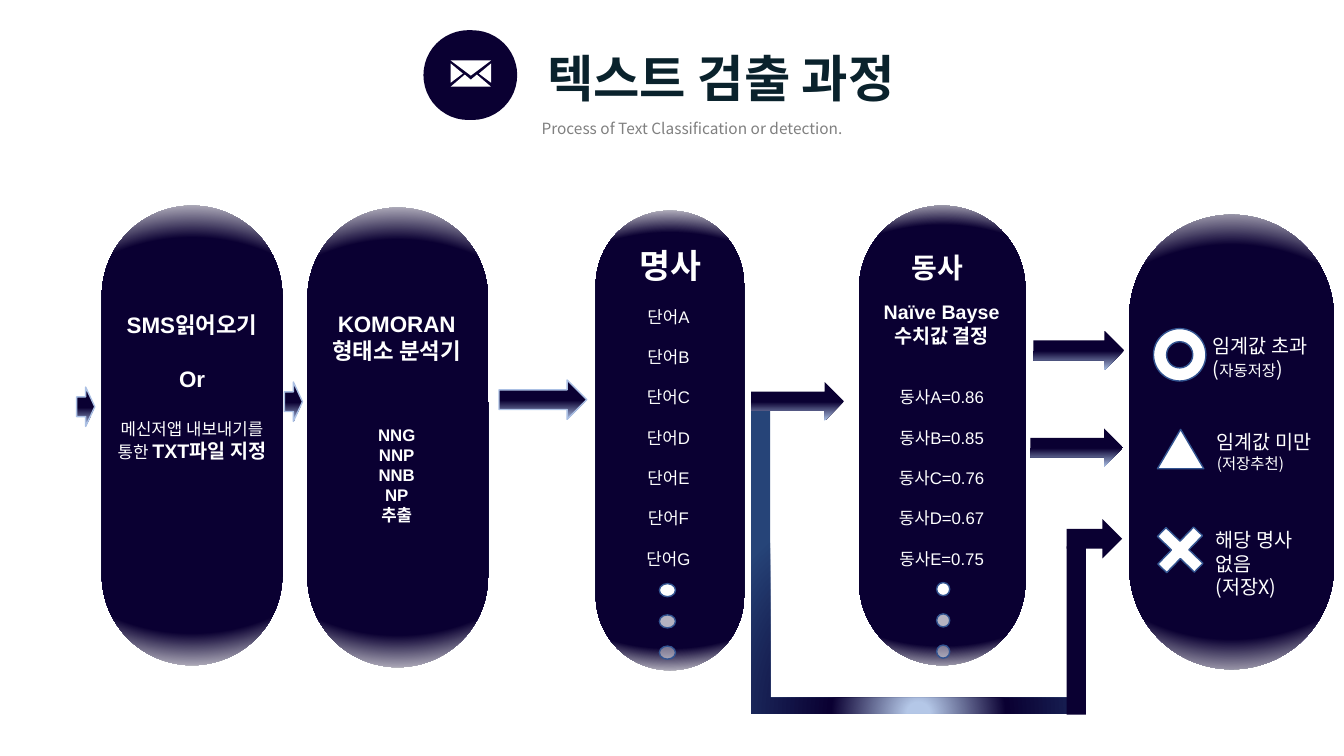
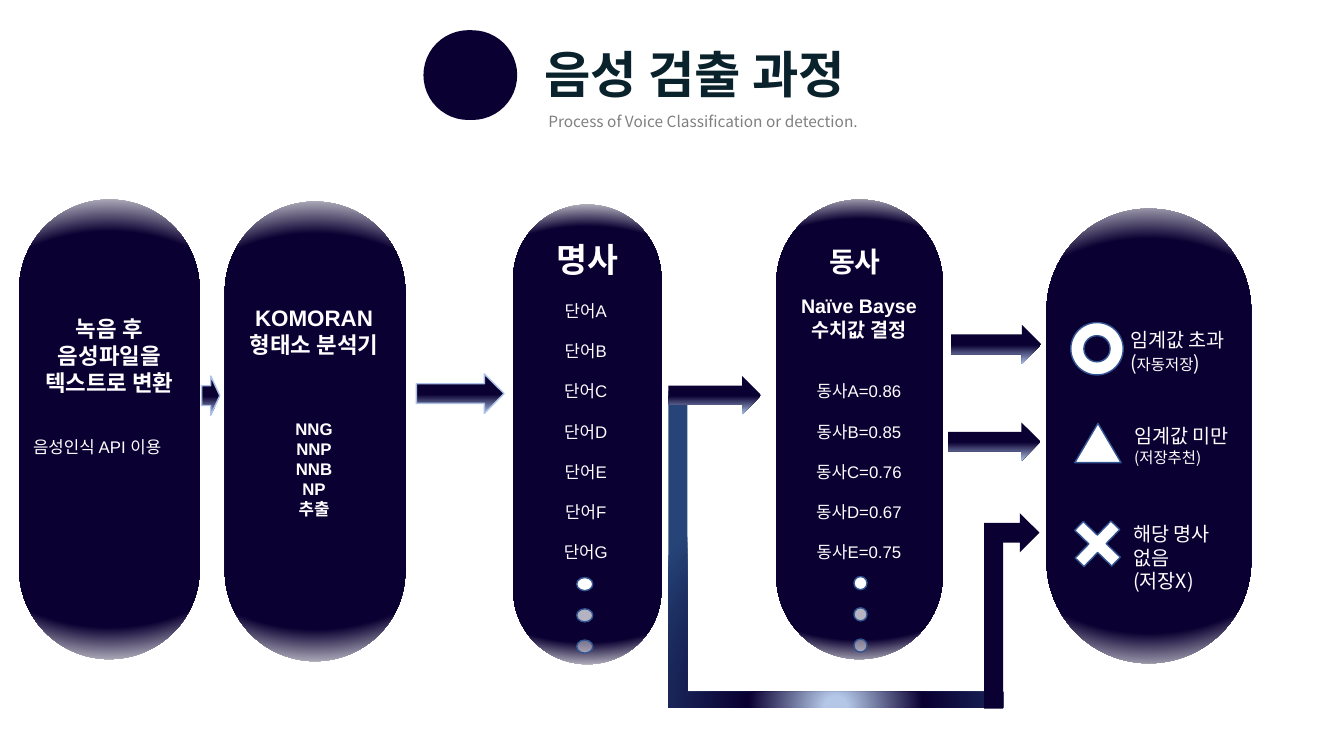
from dataclasses import dataclass

import lxml.etree
import pptx
import pptx.dml.color
import pptx.enum.shapes
import pptx.enum.text
import pptx.oxml.ns
import pptx.util

Inches = pptx.util.Inches
Pt = pptx.util.Pt
SHAPE = pptx.enum.shapes.MSO_SHAPE
ALIGN = pptx.enum.text.PP_ALIGN
ANCHOR = pptx.enum.text.MSO_ANCHOR
qn = pptx.oxml.ns.qn


@dataclass(frozen=True)
class Theme:
    navy: str = "0A0032"
    title_ink: str = "0A222C"
    gray: str = "808080"
    white: str = "FFFFFF"
    outline: str = "325491"
    pale_blue: str = "ABC0E4"
    glow: str = "B4C7E7"
    deep_blue: str = "264478"
    pill_edge: str = "F2F2F2"
    latin: str = "Arial"
    korean: str = "Noto Sans CJK KR"
    title: int = 36
    noun: int = 24
    verb: int = 20
    heading: int = 16
    body: int = 14
    item: int = 12
    small: int = 11
    leading: float = 1.2


THEME = Theme()


@dataclass
class Span:
    text: str
    size: int = THEME.item
    bold: bool = False
    font: str = THEME.latin
    color: str = THEME.white


@dataclass
class Line:
    spans: list
    before: float = 0
    align: object = ALIGN.CENTER
    indent: float = 0
    spacing: object = None


@dataclass
class Canvas:
    """A page with the offset of its diagram."""
    page: object
    dx: float = 0
    dy: float = 0

    def place(self, left, top, width, height):
        return (Inches(left + self.dx), Inches(top + self.dy),
                Inches(width), Inches(height))


def rgb(code):
    return pptx.dml.color.RGBColor.from_string(code)


# Fills
def set_gradient(shape, stops, center=None):
    """Radial when a center rectangle is given, else top to bottom."""
    shape.fill.background()
    properties = shape._element.spPr
    gradient = lxml.etree.Element(qn("a:gradFill"), rotWithShape="1")
    stop_list = lxml.etree.SubElement(gradient, qn("a:gsLst"))
    for position, color in stops:
        stop = lxml.etree.SubElement(stop_list, qn("a:gs"), pos=str(position * 1000))
        lxml.etree.SubElement(stop, qn("a:srgbClr"), val=color)
    if center:
        radial = lxml.etree.SubElement(gradient, qn("a:path"))
        radial.set("path", "circle")
        sides = {side: str(value * 1000) for side, value in zip("ltrb", center)}
        lxml.etree.SubElement(radial, qn("a:fillToRect"), **sides)
    else:
        lxml.etree.SubElement(gradient, qn("a:lin"), ang="5400000", scaled="0")
    properties.replace(properties.find(qn("a:noFill")), gradient)


def set_solid(shape, color, opacity=100):
    shape.fill.solid()
    shape.fill.fore_color.rgb = rgb(color)
    if opacity < 100:
        code = shape._element.spPr.find(qn("a:solidFill"))[0]
        lxml.etree.SubElement(code, qn("a:alpha"), val=str(opacity * 1000))


def set_line(shape, color=None):
    if color:
        shape.line.color.rgb = rgb(color)
        shape.line.width = Pt(1)
    else:
        shape.line.fill.background()


# Basic elements
def add_shape(canvas, kind, area, line=None, adjust=()):
    shape = canvas.page.shapes.add_shape(kind, *canvas.place(*area))
    shape.shadow.inherit = False
    set_line(shape, line)
    for index, value in enumerate(adjust):
        shape.adjustments[index] = value
    return shape


def add_solid(canvas, kind, area, color, line=None, adjust=(), opacity=100):
    shape = add_shape(canvas, kind, area, line, adjust)
    set_solid(shape, color, opacity)
    return shape


def add_text(canvas, area, lines, anchor=ANCHOR.TOP):
    box = canvas.page.shapes.add_textbox(*canvas.place(*area))
    frame = box.text_frame
    frame.word_wrap = True
    frame.vertical_anchor = anchor
    for index, line in enumerate(lines):
        para = frame.paragraphs[0] if index == 0 else frame.add_paragraph()
        para.alignment = line.align
        largest = max(span.size for span in line.spans)
        para.line_spacing = line.spacing or Pt(largest * THEME.leading)
        if line.before:
            para.space_before = Pt(line.before)
        if line.indent:
            para._p.get_or_add_pPr().set("marL", str(Inches(line.indent)))
        for span in line.spans:
            run = para.add_run()
            run.text = span.text
            run.font.size = Pt(span.size)
            run.font.bold = span.bold
            run.font.name = span.font
            run.font.color.rgb = rgb(span.color)
            east = lxml.etree.SubElement(run._r.get_or_add_rPr(), qn("a:ea"))
            east.set("typeface", THEME.korean)


def simple_lines(texts, size=THEME.item, bold=False, gap=0):
    return [Line([Span(text, size, bold)], before=gap if index else 0)
            for index, text in enumerate(texts)]


# Diagram elements
def add_pill(canvas, area, solid_until):
    pill = add_shape(canvas, SHAPE.ROUNDED_RECTANGLE, area, adjust=[0.5])
    set_gradient(pill, [(0, THEME.navy), (solid_until, THEME.navy), (99, THEME.pill_edge)],
                 center=(50, 50, 50, 50))


def add_arrow(canvas, area, line=None):
    arrow = add_shape(canvas, SHAPE.RIGHT_ARROW, area, line)
    set_gradient(arrow, [(0, THEME.navy), (52, THEME.navy), (100, THEME.pale_blue)])


def add_dots(canvas, left, top, width):
    for index, opacity in enumerate((100, 70, 48)):
        add_solid(canvas, SHAPE.OVAL, (left, top + 0.31 * index, width, 0.13),
                  THEME.white, THEME.outline, opacity=opacity)


def add_mail_icon(canvas):
    outlines = [
        [(4.87, 0.6), (4.67, 0.75), (4.47, 0.6)],
        [(4.87, 0.82), (4.75, 0.73), (4.87, 0.63)],
        [(4.47, 0.63), (4.59, 0.73), (4.47, 0.82)],
        [(4.73, 0.74), (4.67, 0.79), (4.61, 0.74), (4.47, 0.86), (4.87, 0.86)],
    ]
    for outline in outlines:
        points = [(Inches(x), Inches(y)) for x, y in outline]
        builder = canvas.page.shapes.build_freeform(*points[0])
        builder.add_line_segments(points[1:], close=True)
        flap = builder.convert_to_shape()
        flap.shadow.inherit = False
        set_solid(flap, THEME.white)
        set_line(flap)


def add_header(canvas, title, title_at, subtitle, subtitle_at):
    add_solid(canvas, SHAPE.ROUNDED_RECTANGLE, (4.2, 0.3, 0.93, 0.89),
              THEME.navy, adjust=[0.5])
    heading = Span(title, THEME.title, True, THEME.korean, THEME.title_ink)
    add_text(canvas, (*title_at, 11.5, 0.89), [Line([heading], spacing=0.9)], ANCHOR.MIDDLE)
    caption = Span(subtitle, THEME.small, False, THEME.korean, THEME.gray)
    add_text(canvas, (*subtitle_at, 12.25, 0.31), [Line([caption], spacing=Pt(16))])


# Columns of the process
def add_source(canvas, text_top, lines):
    add_pill(canvas, (1.01, 2.04, 1.79, 4.56), 80)
    add_text(canvas, (0.87, text_top, 2.07, 1.62), lines)
    add_arrow(canvas, (2.82, 3.79, 0.18, 0.39), THEME.pale_blue)


def add_analyzer(canvas):
    add_pill(canvas, (3.05, 2.06, 1.79, 4.56), 80)
    lines = simple_lines(["KOMORAN", "형태소 분석기"], THEME.heading, True)
    tags = simple_lines(["NNG", "NNP", "NNB", "NP", "추출"], bold=True)
    tags[0].before = 3 * THEME.item * THEME.leading
    add_text(canvas, (2.9, 3.03, 2.07, 2.46), lines + tags)
    add_arrow(canvas, (4.95, 3.77, 0.87, 0.39), THEME.pale_blue)


def add_nouns(canvas):
    add_pill(canvas, (5.91, 2.09, 1.47, 4.56), 86)
    add_text(canvas, (5.74, 2.38, 1.82, 0.74), simple_lines(["명사"], THEME.noun, True))
    add_text(canvas, (5.9, 2.99, 1.46, 3.4),
             simple_lines([f"단어{letter}" for letter in "ABCDEFG"],
                          gap=THEME.item * THEME.leading))
    add_dots(canvas, 6.54, 5.79, 0.16)


def add_verbs(canvas):
    add_pill(canvas, (8.52, 2.04, 1.65, 4.56), 86)
    add_text(canvas, (8.57, 2.44, 1.46, 0.44), simple_lines(["동사"], THEME.verb, True))
    add_text(canvas, (8.61, 2.93, 1.46, 0.77),
             simple_lines(["Naïve Bayse", "수치값 결정"], THEME.body, True))
    scores = zip("ABCDE", ("0.86", "0.85", "0.76", "0.67", "0.75"))
    add_text(canvas, (8.61, 3.79, 1.46, 2.73),
             simple_lines([f"동사{letter}={score}" for letter, score in scores],
                          gap=THEME.item * THEME.leading))
    add_dots(canvas, 9.29, 5.78, 0.13)


def add_results(canvas):
    add_pill(canvas, (11.2, 2.13, 2.03, 4.51), 79)
    marks = [(SHAPE.DONUT, (11.44, 3.26, 0.52, 0.52), [], 0),
             (SHAPE.ISOSCELES_TRIANGLE, (11.48, 4.26, 0.46, 0.39), [], 0),
             (SHAPE.CROSS, (11.45, 5.2, 0.51, 0.51), [0.38], 44)]
    for kind, area, adjust, rotation in marks:
        mark = add_solid(canvas, kind, area, THEME.white, THEME.outline, adjust)
        mark.rotation = rotation
    body, small = THEME.body, THEME.small
    labels = [
        ((11.93, 3.26, 1.4, 0.57), "임계값 초과", [("(", body), ("자동저장", small), (")", body)]),
        ((11.97, 4.22, 1.3, 0.52), "임계값 미만", [("(저장추천)", small)]),
        ((11.96, 5.19, 1.15, 0.81), "해당 명사 없음", [("(저장X)", body)]),
    ]
    for area, result, action in labels:
        rows = [[(result, body)], action]
        add_text(canvas, area, [
            Line([Span(text, size, font=THEME.korean) for text, size in row], align=ALIGN.LEFT)
            for row in rows])


def add_bypass(canvas):
    elbow = add_shape(canvas, SHAPE.CORNER, (7.45, 3.94, 3.32, 3.14), adjust=[0.05, 0.06])
    set_gradient(elbow, [(5, THEME.glow), (38, THEME.navy), (100, THEME.deep_blue)],
                 center=(50, 130, 50, -30))
    add_solid(canvas, SHAPE.RIGHT_ARROW, (10.58, 5.15, 0.55, 0.39), THEME.navy)
    add_solid(canvas, SHAPE.RECTANGLE, (10.58, 5.42, 0.19, 1.67), THEME.navy)


def add_process(canvas, source_top, source_lines):
    add_nouns(canvas)
    add_verbs(canvas)
    add_results(canvas)
    add_bypass(canvas)
    add_analyzer(canvas)
    for area in [(7.45, 3.79, 0.92, 0.38), (10.25, 3.28, 0.9, 0.39), (10.22, 4.25, 0.92, 0.38)]:
        add_arrow(canvas, area)
    add_source(canvas, source_top, source_lines)


def main():
    deck = pptx.Presentation()
    deck.slide_width, deck.slide_height = Inches(13.33), Inches(7.5)
    text_page, voice_page = (deck.slides.add_slide(deck.slide_layouts[6]) for _ in range(2))

    # Text detection
    canvas = Canvas(text_page)
    add_header(canvas, "텍스트 검출 과정", (1.4, 0.36),
               "Process of Text Classification or detection.", (0.74, 1.09))
    add_mail_icon(canvas)
    lines = simple_lines(["SMS읽어오기", "Or"], THEME.heading, True,
                         gap=THEME.heading * THEME.leading)
    lines += [Line([Span("메신저앱 내보내기를")], before=THEME.heading * THEME.leading),
              Line([Span("통한 "), Span("TXT파일 지정", THEME.body, True)])]
    add_process(canvas, 3.04, lines)
    add_arrow(canvas, (0.76, 3.84, 0.18, 0.39), THEME.pale_blue)

    # Voice detection
    add_header(Canvas(voice_page), "음성 검출 과정", (1.14, 0.32),
               "Process of Voice Classification or detection.", (0.85, 1.02))
    lines = simple_lines(["녹음 후", "음성파일을", "텍스트로 변환"], THEME.heading, True)
    lines.append(Line([Span("음성인식 API 이용")], before=2 * THEME.item * THEME.leading,
                      align=ALIGN.LEFT, indent=0.18))
    add_process(Canvas(voice_page, -0.82, -0.06), 3.14, lines)

    deck.save("out.pptx")


if __name__ == "__main__":
    main()
